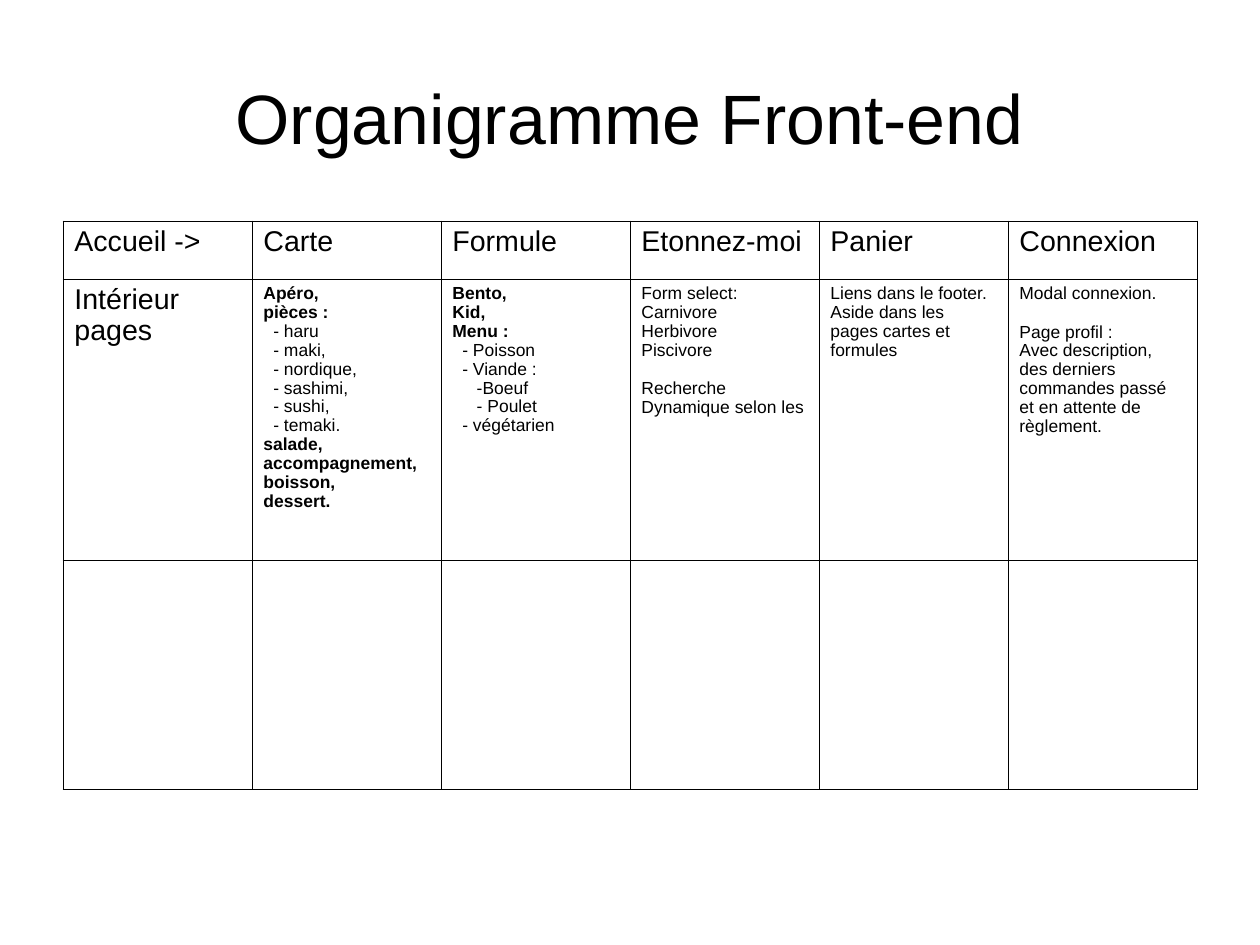
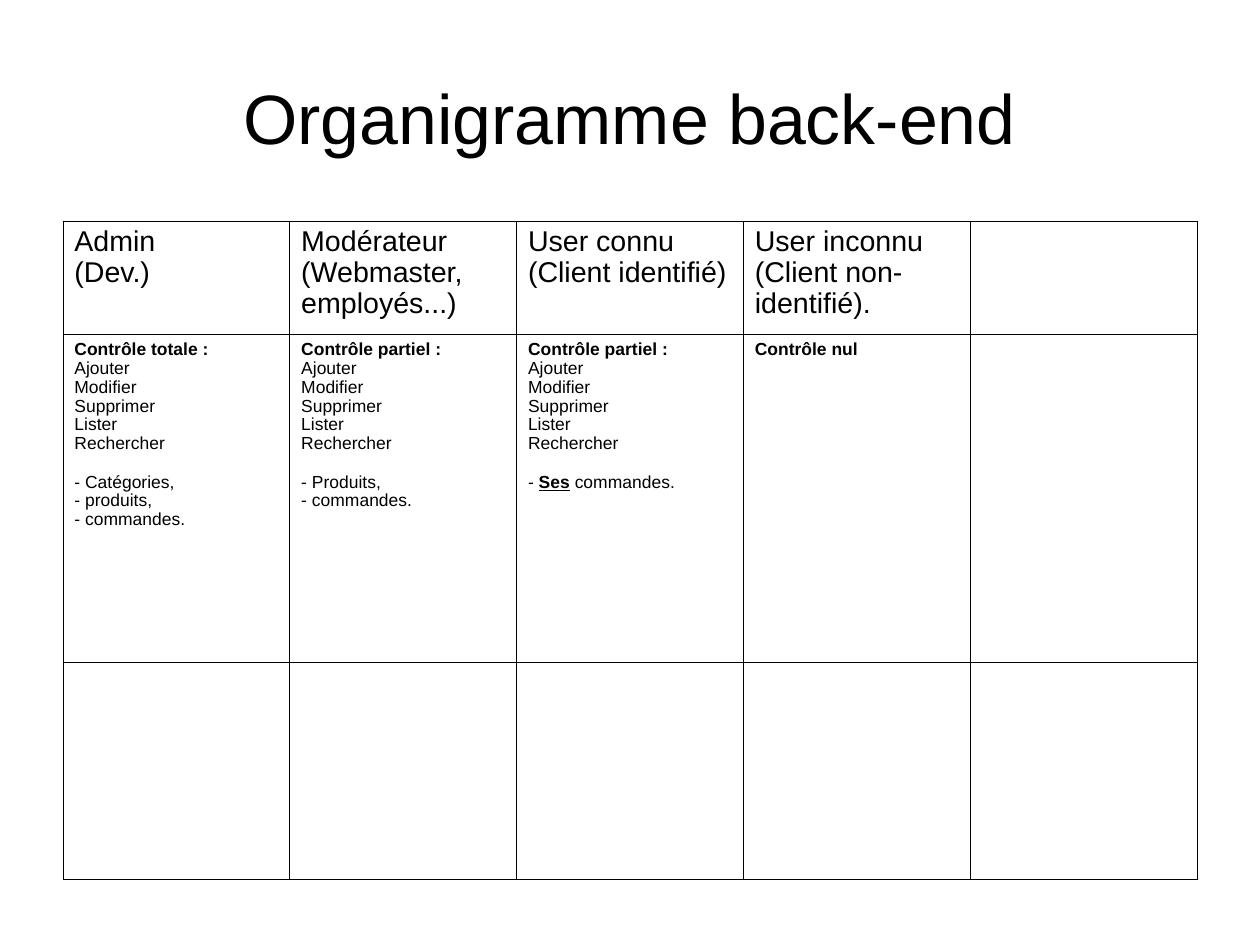
from dataclasses import dataclass

from lxml import etree
from pptx import Presentation
from pptx import util as u
from pptx.dml import color
from pptx.enum import text
from pptx.oxml import ns

# Shared style
FONT = "Arial"
INK = "000000"
TITLE_SIZE, HEAD_SIZE, BODY_SIZE = 44, 18, 11
LINE_SPACING = 0.97
BLANK_LINE = 12.25
BORDER_WIDTH = 0.57
INDENT_1, INDENT_2 = 0.22, 0.54

# Shared boxes in cm: left, top, width, height
TITLE_BOX = (1.4, 0.84, 25.2, 3.51)
TABLE_LEFT, TABLE_TOP, TABLE_WIDTH = 1.4, 4.91, 25.2


@dataclass
class Run:
    text: str
    bold: bool = False
    underline: bool = False


@dataclass
class Line:
    runs: list
    size: int = BODY_SIZE
    indent: float = 0
    gap: bool = False


def head(*words):
    return [Line([Run(word)], HEAD_SIZE) for word in words]


def plain(*words, indent=0, gap=False):
    """Regular lines; gap leaves a line's height above the first one."""
    return [Line([Run(word)], indent=indent, gap=gap and index == 0)
            for index, word in enumerate(words)]


def bold(*words):
    return [Line([Run(word, bold=True)]) for word in words]


def rgb(value):
    return color.RGBColor.from_string(value)


def style_font(font, size):
    font.name = FONT
    font.size = u.Pt(size)
    font.color.rgb = rgb(INK)


def add_title(slide, box, wording):
    title = slide.shapes.title
    title.left, title.top, title.width, title.height = map(u.Cm, box)
    frame = title.text_frame
    frame.margin_left = frame.margin_right = 0
    frame.margin_top = frame.margin_bottom = 0
    frame.vertical_anchor = text.MSO_ANCHOR.MIDDLE
    paragraph = frame.paragraphs[0]
    paragraph.alignment = text.PP_ALIGN.CENTER
    run = paragraph.add_run()
    run.text = wording
    style_font(run.font, TITLE_SIZE)


def set_borders(cell):
    properties = cell._tc.get_or_add_tcPr()
    for index, side in enumerate(("a:lnL", "a:lnR", "a:lnT", "a:lnB")):
        line = etree.Element(ns.qn(side), w=str(u.Pt(BORDER_WIDTH)))
        fill = etree.SubElement(line, ns.qn("a:solidFill"))
        etree.SubElement(fill, ns.qn("a:srgbClr"), val=INK)
        properties.insert(index, line)


def fill_cell(cell, lines):
    cell.fill.background()
    set_borders(cell)
    frame = cell.text_frame
    for index, line in enumerate(lines):
        paragraph = frame.add_paragraph() if index else frame.paragraphs[0]
        paragraph.line_spacing = LINE_SPACING
        if line.gap:
            paragraph.space_before = u.Pt(BLANK_LINE)
        if line.indent:
            paragraph._p.get_or_add_pPr().set("marL", str(u.Cm(line.indent)))
        for part in line.runs:
            run = paragraph.add_run()
            run.text = part.text
            style_font(run.font, line.size)
            run.font.bold = part.bold
            run.font.underline = part.underline


def add_grid(slide, left, top, width, heights, rows):
    """Equal columns; rows without content stay empty."""
    columns = len(rows[0])
    table = slide.shapes.add_table(
        len(heights), columns, u.Cm(left), u.Cm(top),
        u.Cm(width), u.Cm(sum(heights))).table
    table.first_row = table.horz_banding = False
    for column in table.columns:
        column.width = u.Cm(width / columns)
    for row_index, height in enumerate(heights):
        table.rows[row_index].height = u.Cm(height)
        contents = rows[row_index] if row_index < len(rows) else [[]] * columns
        for column_index, lines in enumerate(contents):
            fill_cell(table.cell(row_index, column_index), lines)


def add_chart_slide(presentation, title, heights, rows):
    slide = presentation.slides.add_slide(presentation.slide_layouts[5])
    add_title(slide, TITLE_BOX, title)
    add_grid(slide, TABLE_LEFT, TABLE_TOP, TABLE_WIDTH, heights, rows)


# Front-end pages
FRONT_END = [
    [head(name) for name in ("Accueil ->", "Carte", "Formule",
                             "Etonnez-moi", "Panier", "Connexion")],
    [
        head("Intérieur", "pages"),
        bold("Apéro,", "pièces :")
        + plain("- haru", "- maki,", "- nordique,", "- sashimi,", "- sushi,",
                "- temaki.", indent=INDENT_1)
        + bold("salade,", "accompagnement,", "boisson,", "dessert."),
        bold("Bento,", "Kid,", "Menu :")
        + plain("- Poisson", "- Viande :", indent=INDENT_1)
        + plain("-Boeuf", "- Poulet", indent=INDENT_2)
        + plain("- végétarien", indent=INDENT_1),
        plain("Form select:", "Carnivore", "Herbivore", "Piscivore")
        + plain("Recherche", "Dynamique selon les", gap=True),
        plain("Liens dans le footer.", "Aside dans les",
              "pages cartes et", "formules"),
        plain("Modal connexion.")
        + plain("Page profil :", "Avec description, des derniers commandes "
                "passé et en attente de règlement.", gap=True),
    ],
]

# Back-end rights
ACTIONS = plain("Ajouter", "Modifier", "Supprimer", "Lister", "Rechercher")
OWN_ORDERS = Line([Run("- "), Run("Ses", bold=True, underline=True),
                   Run(" commandes.")], gap=True)
BACK_END = [
    [
        head("Admin", "(Dev.)"),
        head("Modérateur", "(Webmaster, employés...)"),
        head("User connu", "(Client identifié)"),
        head("User inconnu", "(Client non-identifié)."),
        [],
    ],
    [
        bold("Contrôle totale :") + ACTIONS
        + plain("- Catégories,", "- produits,", "- commandes.", gap=True),
        bold("Contrôle partiel :") + ACTIONS
        + plain("- Produits,", "- commandes.", gap=True),
        bold("Contrôle partiel :") + ACTIONS + [OWN_ORDERS],
        bold("Contrôle nul"),
        [],
    ],
]


def main():
    presentation = Presentation()
    presentation.slide_width = u.Cm(28)
    presentation.slide_height = u.Cm(21)
    add_chart_slide(presentation, "Organigramme Front-end",
                    (1.29, 6.25, 5.09), FRONT_END)
    add_chart_slide(presentation, "Organigramme back-end",
                    (2.53, 7.29, 4.82), BACK_END)
    presentation.save("out.pptx")


if __name__ == "__main__":
    main()
